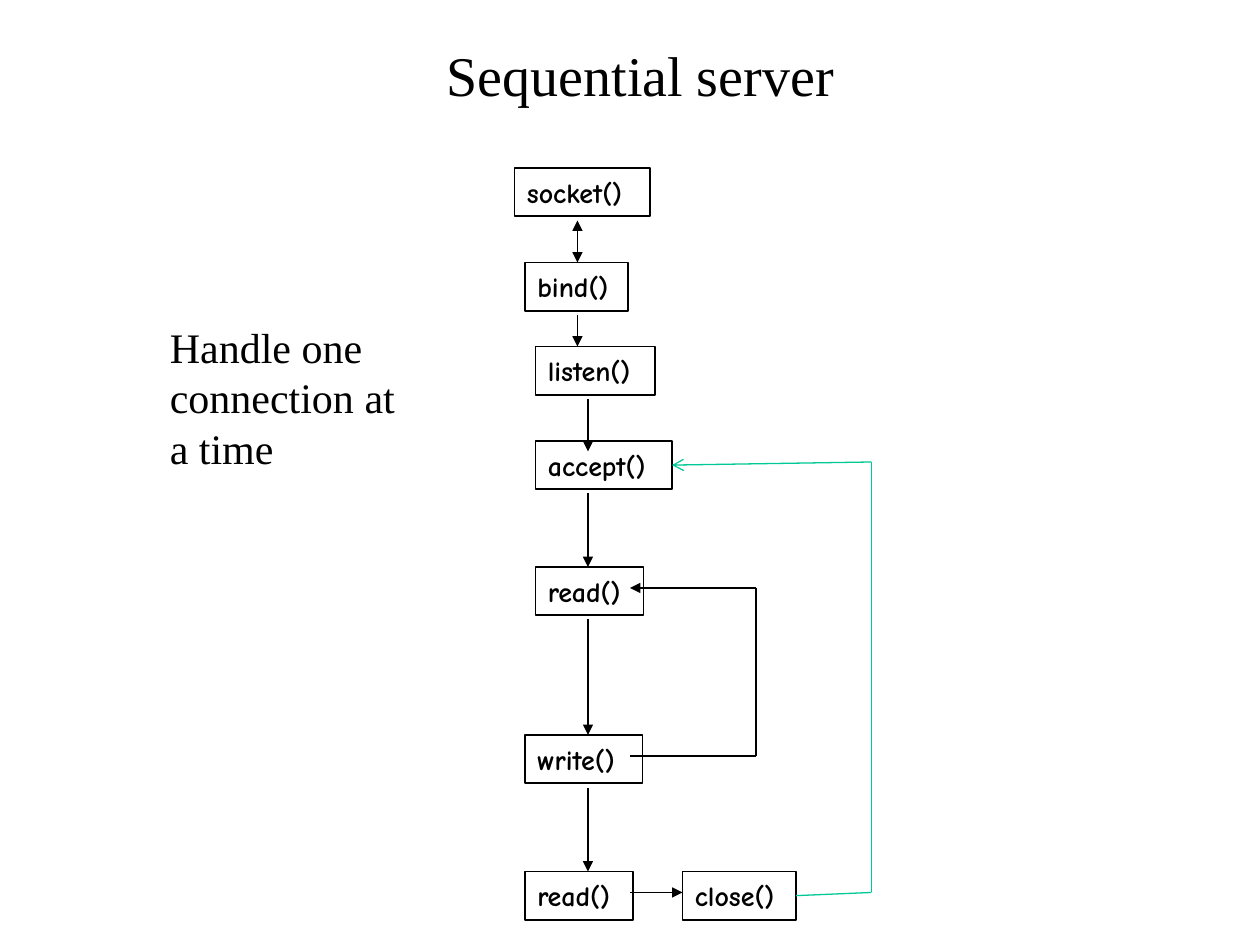
import pptx
import pptx.dml.color
import pptx.enum.shapes
import pptx.enum.text
import pptx.oxml.ns
import pptx.util
from lxml import etree

COLUMNS, ROWS = 120, 90  # grid of twelve cells to the inch
CELL = pptx.util.Inches(10) // COLUMNS
BOX_ROWS = 4.6

BLACK = "000000"
GREEN = "00C896"
SERIF = "Times New Roman"
CODE_FONT = "Comic Neue"

# call, left column, top row, width in columns
CALLS = [
    ("socket()", 49, 16, 12.9),
    ("bind()", 50, 25, 9.8),
    ("listen()", 51, 33, 11.4),
    ("accept()", 51, 42, 13),
    ("read()", 51, 54, 10.3),
    ("write()", 50, 70, 11.2),
    ("read()", 50, 83, 10.3),
    ("close()", 65, 83, 10.8),
]

# column, start row, end row, arrowhead at start
STEPS = [
    (55, 21, 25, "triangle"),
    (55, 30, 33, None),
    (56, 38, 43, None),
    (56, 47, 54, None),
    (56, 59, 70, None),
    (56, 75, 83, None),
]

READ_WRITE_LOOP = [(60, 72), (72, 72), (72, 56), (60, 56)]
NEXT_CLIENT_LOOP = [(75.8, 85.3), (83, 85), (83, 44), (64, 44.3)]


def grid(cells):
    return round(cells * CELL)


def colour(hex_code):
    return pptx.dml.color.RGBColor.from_string(hex_code)


def write(shape, text, font, size, bold=False):
    """Fill a shape with left-aligned black text."""
    frame = shape.text_frame
    frame.text = text
    frame.word_wrap = True
    for paragraph in frame.paragraphs:
        paragraph.alignment = pptx.enum.text.PP_ALIGN.LEFT
        for run in paragraph.runs:
            run.font.name = font
            run.font.size = pptx.util.Pt(size)
            run.font.bold = bold
            run.font.color.rgb = colour(BLACK)


def add_text(slide, text, left, top, width, height, size):
    label = slide.shapes.add_textbox(*map(grid, (left, top, width, height)))
    write(label, text, SERIF, size)
    return label


def add_title(slide, text):
    title = add_text(slide, text, 10, 4, 102, 7, 32)
    title.text_frame.vertical_anchor = pptx.enum.text.MSO_ANCHOR.MIDDLE
    heading = title.text_frame.paragraphs[0]
    heading.alignment = pptx.enum.text.PP_ALIGN.CENTER
    heading.line_spacing = 0.9


def add_call(slide, name, left, top, width):
    """Add the outlined box of one system call."""
    box = slide.shapes.add_shape(
        pptx.enum.shapes.MSO_SHAPE.RECTANGLE,
        *map(grid, (left, top, width, BOX_ROWS)))
    box.shadow.inherit = False
    box.fill.background()
    box.line.color.rgb = colour(BLACK)
    box.line.width = pptx.util.Pt(1)
    write(box, name, CODE_FONT, 16, bold=True)


def add_line(slide, start, end, line_colour=BLACK, head=None, tail=None):
    """Add a straight line; head and tail are arrowheads at start and end."""
    line = slide.shapes.add_connector(
        pptx.enum.shapes.MSO_CONNECTOR.STRAIGHT, *map(grid, (*start, *end)))
    line.line.color.rgb = colour(line_colour)
    line.line.width = pptx.util.Pt(0.75)
    outline = line.line._get_or_add_ln()
    for tag, arrow in (("a:headEnd", head), ("a:tailEnd", tail)):
        if arrow:
            etree.SubElement(outline, pptx.oxml.ns.qn(tag), type=arrow)
    etree.SubElement(line._element.spPr, pptx.oxml.ns.qn("a:effectLst"))


def add_loop(slide, corners, line_colour, arrow):
    """Join the corners with lines, the last one ending in an arrowhead."""
    for start, end in zip(corners, corners[1:]):
        tail = arrow if end == corners[-1] else None
        add_line(slide, start, end, line_colour, tail=tail)


def main():
    deck = pptx.Presentation()
    deck.slide_width = CELL * COLUMNS
    deck.slide_height = CELL * ROWS
    slide = deck.slides.add_slide(deck.slide_layouts[6])

    add_title(slide, "Sequential server")
    for call in CALLS:
        add_call(slide, *call)
    for column, start, end, head in STEPS:
        add_line(slide, (column, start), (column, end),
                 head=head, tail="triangle")
    add_line(slide, (60, 85), (65, 85), tail="triangle")
    add_loop(slide, READ_WRITE_LOOP, BLACK, "triangle")
    add_loop(slide, NEXT_CLIENT_LOOP, GREEN, "arrow")
    add_text(slide, "Handle one\nconnection at\na time", 15, 30, 25, 15.7, 24)

    deck.save("out.pptx")


if __name__ == "__main__":
    main()
